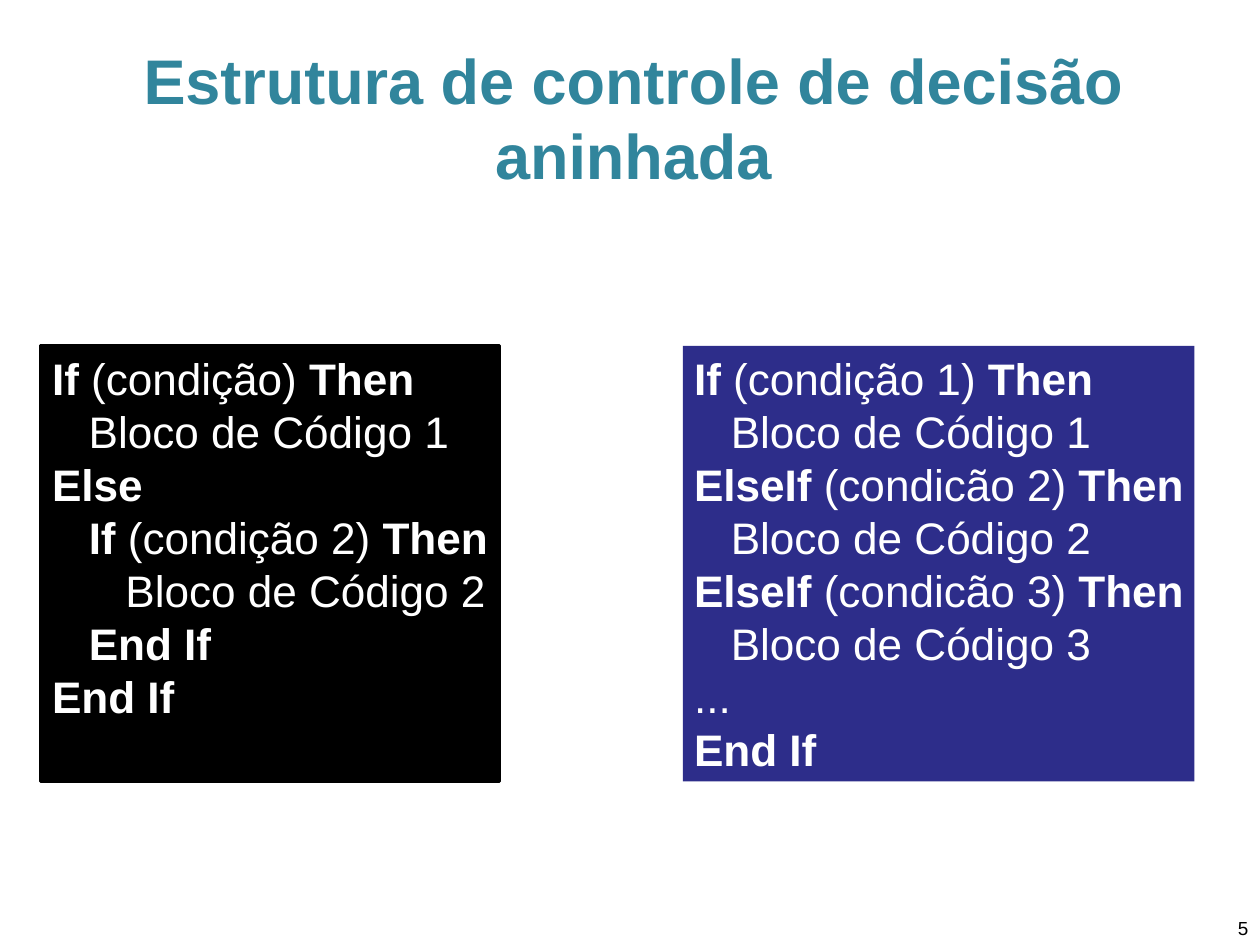
import dataclasses

import pptx
import pptx.dml.color
import pptx.enum.shapes
import pptx.enum.text
import pptx.util

WIDE = pptx.util.Inches(11.11)
HIGH = pptx.util.Inches(8.33)
ALIGN = pptx.enum.text.PP_ALIGN
ANCHOR = pptx.enum.text.MSO_ANCHOR

NESTED = """*If* (condição) *Then*
   Bloco de Código 1
*Else*
   *If* (condição 2) *Then*
      Bloco de Código 2
   *End If*
*End If*"""

CHAIN = """*If* (condição 1) *Then*
   Bloco de Código 1
*ElseIf* (condicão 2) *Then*
   Bloco de Código 2
*ElseIf* (condicão 3) *Then*
   Bloco de Código 3
...
*End If*"""


@dataclasses.dataclass(frozen=True)
class Theme:
    """Hold the colours, font and type sizes of the slide."""
    font: str = "Arial"
    teal: str = "31859C"
    black: str = "000000"
    blue: str = "2D2D8A"
    white: str = "FFFFFF"
    title: int = 40
    code: int = 28
    small: int = 12
    edge: int = 2


THEME = Theme()


def place(left, top, width, height):
    """Turn percent shares of the slide into lengths."""
    return (int(WIDE * left / 100), int(HIGH * top / 100),
            int(WIDE * width / 100), int(HIGH * height / 100))


def shade(color):
    """Turn a hex string into a colour."""
    return pptx.dml.color.RGBColor.from_string(color)


def paint(font, size, color, bold):
    """Style one font."""
    font.name = THEME.font
    font.size = pptx.util.Pt(size)
    font.bold = bold
    font.color.rgb = shade(color)


def label(slide, area, text, size, color, align, bold=False):
    """Add plain text centred in the height of its area."""
    frame = slide.shapes.add_textbox(*place(*area)).text_frame
    frame.word_wrap = True
    frame.vertical_anchor = ANCHOR.MIDDLE
    frame.text = text
    para = frame.paragraphs[0]
    para.alignment = align
    paint(para.runs[0].font, size, color, bold)


def panel(slide, area, code, color, edge=None):
    """Add a filled box of code whose starred words are bold."""
    kind = pptx.enum.shapes.MSO_SHAPE.RECTANGLE
    box = slide.shapes.add_shape(kind, *place(*area))
    box.shadow.inherit = False
    box.fill.solid()
    box.fill.fore_color.rgb = shade(color)
    if edge:
        box.line.color.rgb = shade(edge)
        box.line.width = pptx.util.Pt(THEME.edge)
    else:
        box.line.fill.background()
    frame = box.text_frame
    frame.word_wrap = False
    frame.vertical_anchor = ANCHOR.TOP
    for row, line in enumerate(code.splitlines()):
        para = frame.add_paragraph() if row else frame.paragraphs[0]
        para.alignment = ALIGN.LEFT
        for turn, part in enumerate(line.split("*")):
            if part:
                run = para.add_run()
                run.text = part
                paint(run.font, THEME.code, THEME.white, turn % 2 == 1)


def main():
    """Build and save the slide."""
    deck = pptx.Presentation()
    deck.slide_width, deck.slide_height = WIDE, HIGH
    slide = deck.slides.add_slide(deck.slide_layouts[6])
    label(slide, (3.1, 4, 94.3, 16.7), "Estrutura de controle de decisão aninhada",
          THEME.title, THEME.teal, ALIGN.CENTER, True)
    label(slide, (95.1, 96.3, 4.85, 3.7), "5",
          THEME.small, THEME.black, ALIGN.RIGHT)
    panel(slide, (3.25, 36.6, 36.4, 46.1), NESTED, THEME.black, THEME.black)
    panel(slide, (54.2, 36.6, 40.6, 46.1), CHAIN, THEME.blue)
    deck.save("out.pptx")


if __name__ == "__main__":
    main()
